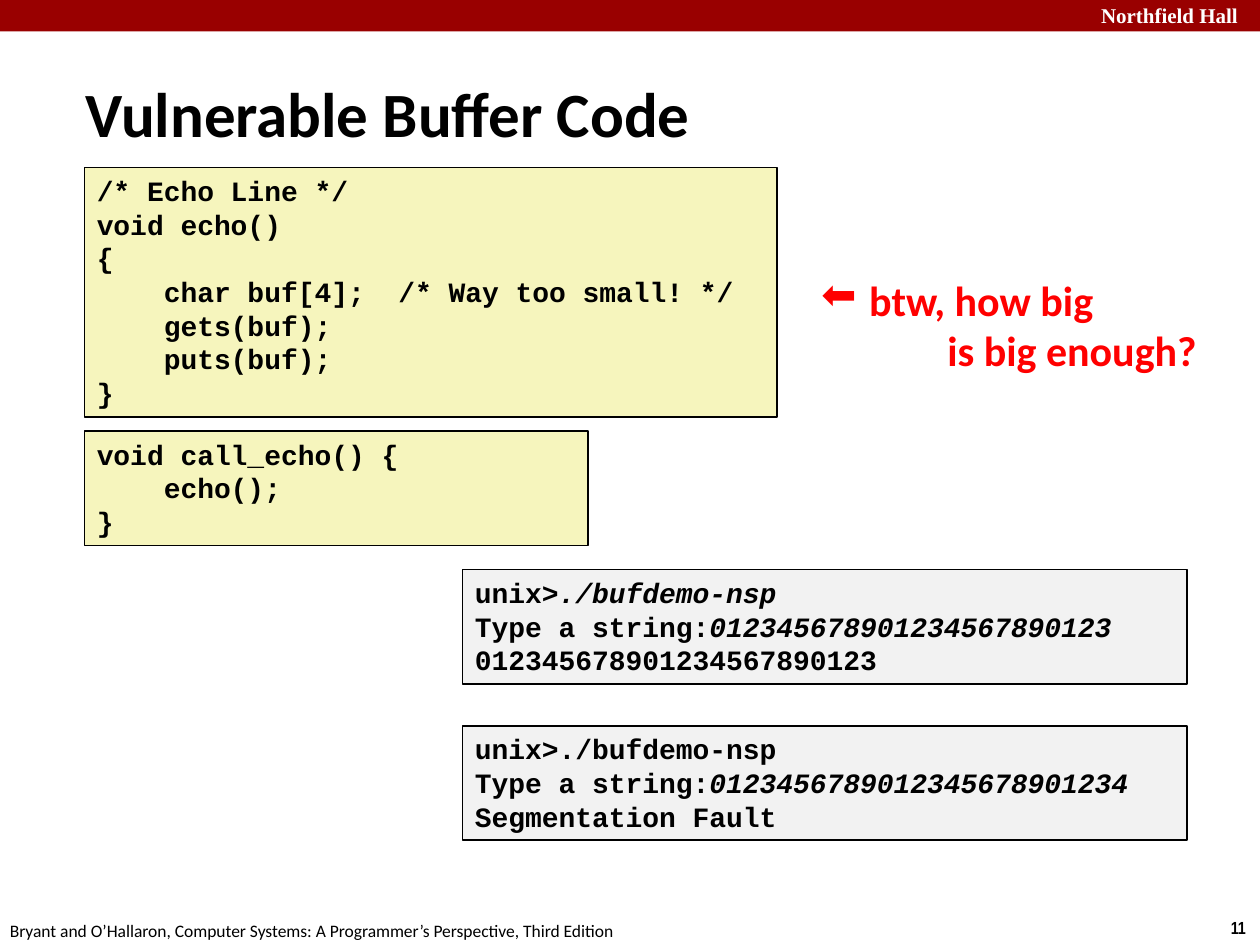
from lxml import etree
from pptx import Presentation
from pptx.dml.color import RGBColor
from pptx.enum.shapes import MSO_SHAPE
from pptx.enum.text import MSO_ANCHOR, PP_ALIGN
from pptx.oxml.ns import qn
from pptx.util import Inches, Pt

RECTANGLE = MSO_SHAPE.RECTANGLE
TOP, MIDDLE = MSO_ANCHOR.TOP, MSO_ANCHOR.MIDDLE
LEFT = PP_ALIGN.LEFT
TITLE_ONLY = 5

BLACK, WHITE, RED = "000000", "FFFFFF", "FF0000"
BANNER_RED, CODE_YELLOW, TERMINAL_GREY = "990000", "F6F5BD", "F2F2F2"

ECHO_CODE = [
    "/* Echo Line */",
    "void echo()",
    "{",
    "    char buf[4];  /* Way too small! */",
    "    gets(buf);",
    "    puts(buf);",
    "}",
]
CALL_CODE = ["void call_echo() {", "    echo();", "}"]
GOOD_RUN = [
    ("unix>", "./bufdemo-nsp"),
    ("Type a string:", "012345678901234567890123"),
    ("012345678901234567890123",),
]
BAD_RUN = [
    ("unix>./bufdemo-nsp",),
    ("Type a string:", "0123456789012345678901234"),
    ("Segmentation Fault",),
]


def color(value):
    """Turn a hex string into a colour."""
    return RGBColor.from_string(value)


def add_span(para, text, font, size, ink=BLACK, bold=True, italic=False):
    """Add one formatted run to a paragraph."""
    span = para.add_run()
    span.text = text
    span.font.name = font
    span.font.size = Pt(size)
    span.font.bold = bold
    span.font.italic = italic
    span.font.color.rgb = color(ink)


def next_para(frame, index):
    """Return the left-aligned paragraph to fill for a line index."""
    para = frame.paragraphs[0] if index == 0 else frame.add_paragraph()
    para.alignment = LEFT
    return para


def set_indent(para, margin, first=0, bullet=None):
    """Set the margin, first-line indent and bullet of a paragraph."""
    properties = para._p.get_or_add_pPr()
    properties.set("marL", str(Inches(margin)))
    properties.set("indent", str(Inches(first)))
    if bullet:
        etree.SubElement(properties, qn("a:buChar")).set("char", bullet)


def add_rectangle(page, left, top, width, height, fill, line=None):
    """Add a flat rectangle with an optional one-point outline."""
    box = page.shapes.add_shape(
        RECTANGLE, Inches(left), Inches(top), Inches(width), Inches(height))
    box.shadow.inherit = False
    box.fill.solid()
    box.fill.fore_color.rgb = color(fill)
    if line:
        box.line.color.rgb = color(line)
        box.line.width = Pt(1)
    else:
        box.line.fill.background()
    return box


def add_listing(page, left, top, width, height, fill, lines):
    """Add a framed listing whose second span on a line is typed input."""
    box = add_rectangle(page, left, top, width, height, fill, BLACK)
    frame = box.text_frame
    frame.word_wrap = True
    frame.vertical_anchor = TOP
    for index, spans in enumerate(lines):
        para = next_para(frame, index)
        for position, text in enumerate(spans):
            add_span(para, text, "Courier New", 16, italic=position == 1)


def add_text_frame(page, left, top, width, height):
    """Add an unwrapped text box and return its text frame."""
    box = page.shapes.add_textbox(
        Inches(left), Inches(top), Inches(width), Inches(height))
    box.text_frame.word_wrap = False
    return box.text_frame


def add_label(page, left, top, width, height, text, font, size, **style):
    """Add a text box with a single line."""
    frame = add_text_frame(page, left, top, width, height)
    add_span(next_para(frame, 0), text, font, size, **style)


def add_title(page, text):
    """Place and fill the title placeholder."""
    title = page.shapes.title
    title.left, title.top = Inches(0.58), Inches(0.58)
    title.width, title.height = Inches(7.01), Inches(0.63)
    frame = title.text_frame
    frame.vertical_anchor = MIDDLE
    para = next_para(frame, 0)
    set_indent(para, 0.13, -0.13)
    add_span(para, text, "Calibri", 36)


def add_question(page):
    """Add the red question that points at the buffer declaration."""
    frame = add_text_frame(page, 6.42, 2.13, 3.21, 0.91)
    lines = [("btw, how big", 0.38, -0.38, "⬅"), ("is big enough?", 1, 0, None)]
    for index, (text, margin, first, bullet) in enumerate(lines):
        para = next_para(frame, index)
        set_indent(para, margin, first, bullet)
        add_span(para, text, "Calibri", 24, RED)


def main():
    """Build the slide and save it."""
    deck = Presentation()
    deck.slide_width, deck.slide_height = Inches(10), Inches(7.5)
    page = deck.slides.add_slide(deck.slide_layouts[TITLE_ONLY])

    add_rectangle(page, 0, 0, 10, 0.25, BANNER_RED)
    add_label(page, 8.64, -0.03, 1.36, 0.3, "Northfield Hall",
              "Times New Roman", 12, ink=WHITE)
    add_label(page, 9.67, 7.23, 0.33, 0.27, "11", "Arial Narrow", 10)
    add_label(page, -0.02, 7.25, 5.08, 0.27,
              "Bryant and O’Hallaron, Computer Systems: "
              "A Programmer’s Perspective, Third Edition",
              "Calibri", 10, bold=False)

    add_title(page, "Vulnerable Buffer Code")
    for top, width, height, code in [(1.33, 5.5, 1.98, ECHO_CODE),
                                     (3.42, 4, 0.91, CALL_CODE)]:
        add_listing(page, 0.67, top, width, height, CODE_YELLOW,
                    [(line,) for line in code])
    for top, session in [(4.52, GOOD_RUN), (5.76, BAD_RUN)]:
        add_listing(page, 3.67, top, 5.75, 0.91, TERMINAL_GREY, session)
    add_question(page)

    deck.save("out.pptx")


if __name__ == "__main__":
    main()
